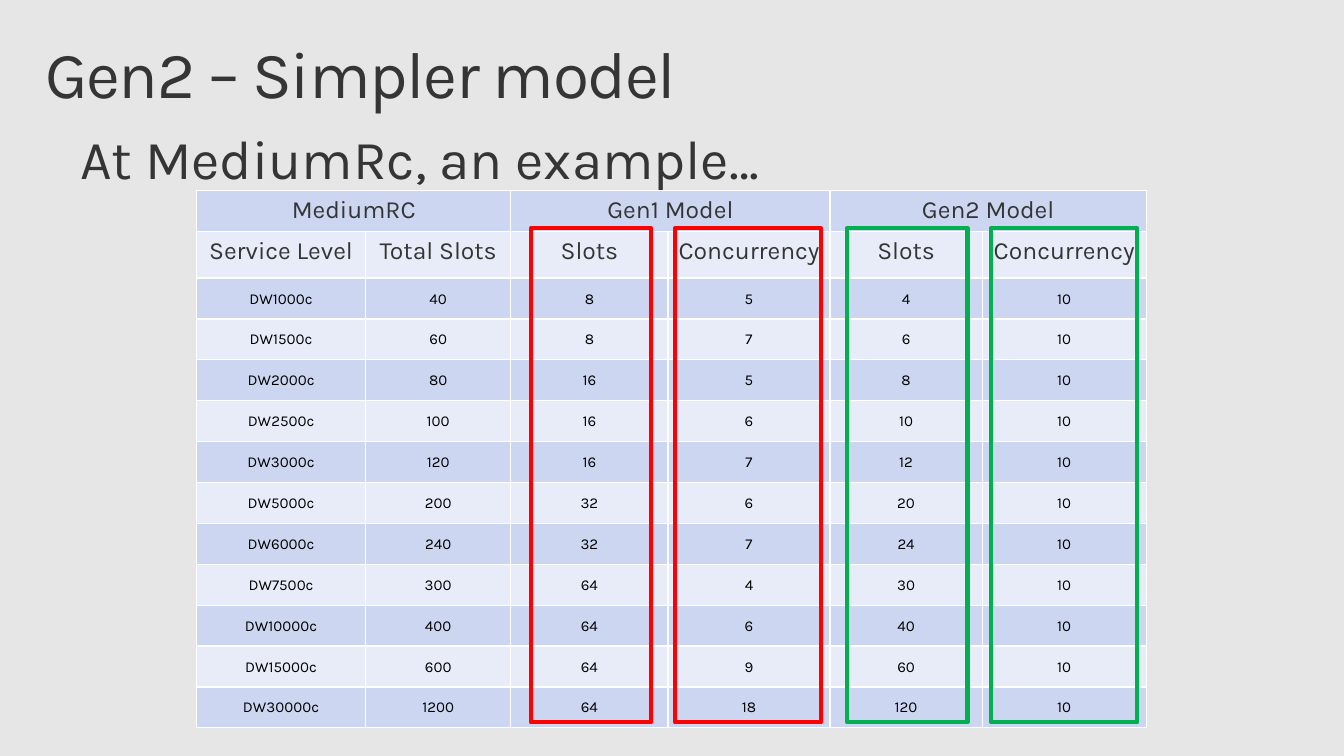
from lxml import etree
from pptx import Presentation
from pptx import util as u
from pptx.dml.color import RGBColor
from pptx.enum import shapes, text
from pptx.oxml import ns

WIDTH, HEIGHT = u.Inches(13.6), u.Inches(7.65)
FONT = "Karla"
COLORS = {
    "background": "E6E6E6", "ink": "353535", "data": "000000",
    "band": "CCD6F0", "light band": "E7ECF8", "border": "FFFFFF",
    "Gen1": "FF0000", "Gen2": "00B050",
}

# Service level, total slots, Gen1 slots per query
LEVELS = [
    ("DW1000c", 40, 8), ("DW1500c", 60, 8), ("DW2000c", 80, 16),
    ("DW2500c", 100, 16), ("DW3000c", 120, 16), ("DW5000c", 200, 32),
    ("DW6000c", 240, 32), ("DW7500c", 300, 64), ("DW10000c", 400, 64),
    ("DW15000c", 600, 64), ("DW30000c", 1200, 64),
]
GEN2_CONCURRENCY = 10
GROUPS = ["MediumRC", "Gen1 Model", "Gen2 Model"]
HEADINGS = ["Service Level", "Total Slots"] + ["Slots", "Concurrency"] * 2

# Table grid, in percent of the slide's width and height
COLUMNS = [12.57, 10.81, 11.69, 12.06, 11.32, 12.21]
ROWS = [5.41, 6.14] + [5.41] * len(LEVELS)


def across(percent):
    return round(WIDTH * percent / 100)


def down(percent):
    return round(HEIGHT * percent / 100)


def place(left, top, width, height):
    return across(left), down(top), across(width), down(height)


def color(name):
    return RGBColor.from_string(COLORS[name])


def format_span(span, size, ink):
    span.font.name = FONT
    span.font.size = u.Pt(size)
    span.font.color.rgb = color(ink)


def fill_placeholder(box, words, area, size, auto_size):
    box.left, box.top, box.width, box.height = place(*area)
    frame = box.text_frame
    frame.text = words
    frame.word_wrap = True
    frame.auto_size = auto_size
    frame.vertical_anchor = text.MSO_ANCHOR.TOP
    frame.margin_left = frame.margin_right = u.Inches(0.16)
    frame.margin_top = frame.margin_bottom = u.Inches(0.1)
    para = frame.paragraphs[0]
    para.alignment = text.PP_ALIGN.LEFT
    para.line_spacing = 0.9
    para.space_before = u.Pt(0)
    format_span(para.runs[0], size, "ink")
    return para


def remove_bullet(para):
    properties = para._p.get_or_add_pPr()
    properties.set("marL", "0")
    properties.set("indent", "0")
    etree.SubElement(properties, ns.qn("a:buNone"))


def add_borders(cell):
    properties = cell._tc.get_or_add_tcPr()
    for side in ("lnL", "lnR", "lnT", "lnB"):
        line = etree.SubElement(properties, ns.qn(f"a:{side}"), w=str(u.Pt(1)))
        fill = etree.SubElement(line, ns.qn("a:solidFill"))
        etree.SubElement(fill, ns.qn("a:srgbClr"), val=COLORS["border"])


def format_cell(cell, row):
    add_borders(cell)
    cell.fill.solid()
    cell.fill.fore_color.rgb = color("light band" if row % 2 else "band")
    is_heading = row < 2
    if not is_heading:
        cell.vertical_anchor = text.MSO_ANCHOR.MIDDLE
        cell.margin_left = cell.margin_right = cell.margin_top = u.Inches(0.01)
        cell.margin_bottom = 0
    para = cell.text_frame.paragraphs[0]
    para.alignment = text.PP_ALIGN.CENTER
    for span in para.runs:
        format_span(span, 18 if is_heading else 11, "ink" if is_heading else "data")


def table_rows():
    group_row = [label for group in GROUPS for label in (group, "")]
    level_rows = [
        [level, total, slots, total // slots,
         total // GEN2_CONCURRENCY, GEN2_CONCURRENCY]
        for level, total, slots in LEVELS
    ]
    return [group_row, HEADINGS] + level_rows


def add_slot_table(page):
    area = place(14.63, 25.23, sum(COLUMNS), sum(ROWS))
    table = page.shapes.add_table(len(ROWS), len(COLUMNS), *area).table
    table.first_row = table.horz_banding = False
    for column, share in zip(table.columns, COLUMNS):
        column.width = across(share)
    for row, share in zip(table.rows, ROWS):
        row.height = down(share)
    for r, values in enumerate(table_rows()):
        for c, value in enumerate(values):
            cell = table.cell(r, c)
            cell.text = str(value)
            format_cell(cell, r)
    for c in range(0, len(COLUMNS), 2):
        table.cell(0, c).merge(table.cell(0, c + 1))


def add_frame(page, left, width, line_color):
    box = page.shapes.add_shape(
        shapes.MSO_SHAPE.RECTANGLE, *place(left, 30.2, width, 65.36))
    box.shadow.inherit = False
    box.fill.background()
    box.line.color.rgb = color(line_color)
    box.line.width = u.Pt(3)


def main():
    deck = Presentation()
    deck.slide_width, deck.slide_height = WIDTH, HEIGHT
    page = deck.slides.add_slide(deck.slide_layouts[1])
    page.background.fill.solid()
    page.background.fill.fore_color.rgb = color("background")

    # Title and lead-in
    title = fill_placeholder(
        page.shapes.title, "Gen2 – Simpler model",
        (2.21, 4.18, 95.59, 13.07), 48, text.MSO_AUTO_SIZE.NONE)
    title.runs[0].font._element.set("spc", "-100")
    lead = fill_placeholder(
        page.placeholders[1], "At MediumRc, an example…",
        (4.78, 16.21, 90.37, 6.41), 40, text.MSO_AUTO_SIZE.SHAPE_TO_FIT_TEXT)
    remove_bullet(lead)

    # Slots and concurrency by service level
    add_slot_table(page)

    # Frames around the columns of each generation
    for index, generation in enumerate(("Gen1", "Gen2")):
        left = 39.49 + 23.53 * index
        add_frame(page, left, 8.97, generation)
        add_frame(page, left + 10.73, 10.88, generation)

    deck.save("out.pptx")


if __name__ == "__main__":
    main()
